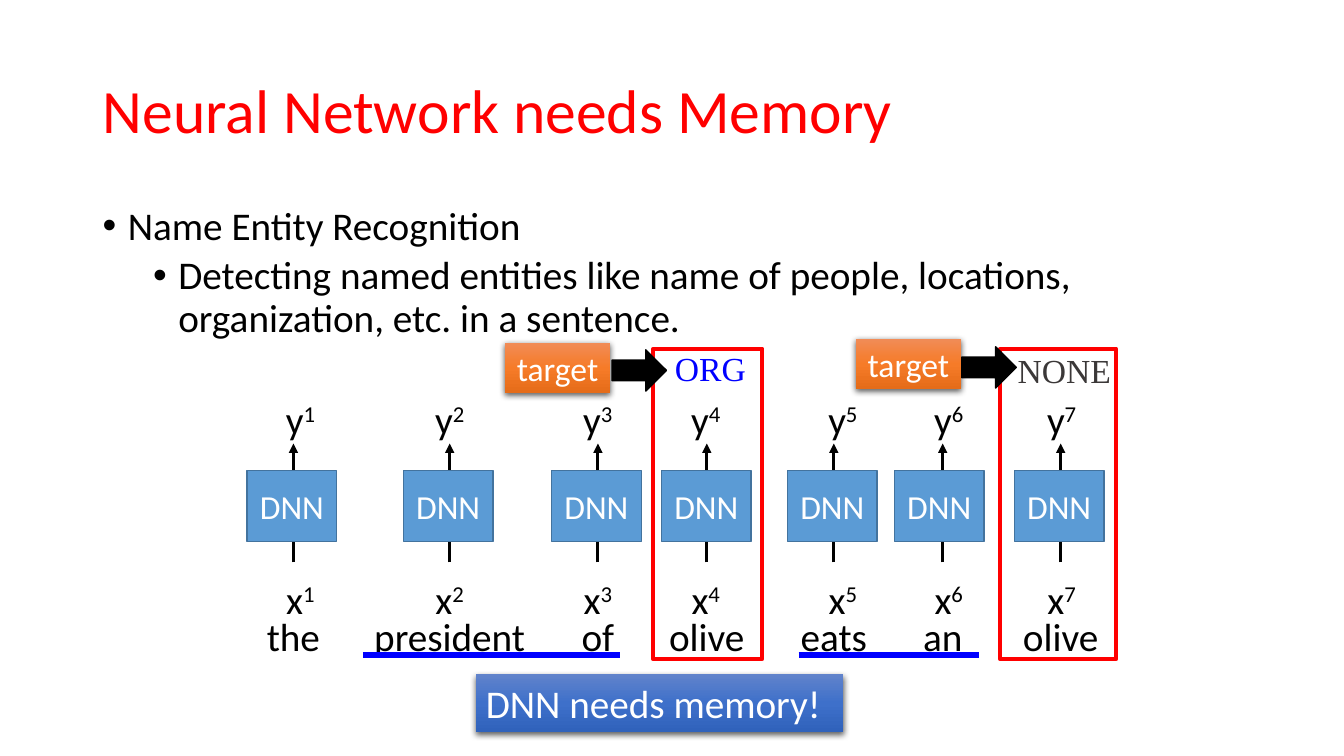
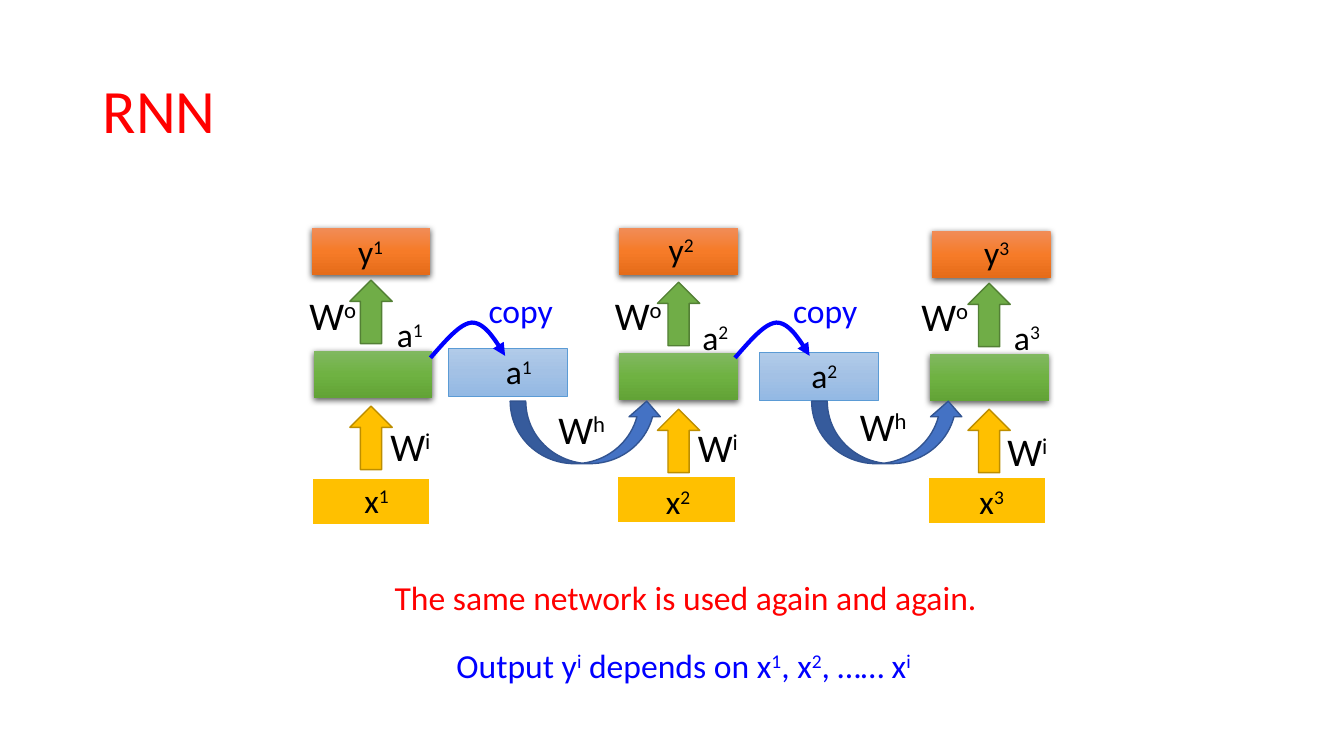
from copy import deepcopy
from dataclasses import dataclass
from typing import NamedTuple

from lxml.etree import SubElement
from pptx import Presentation
from pptx.dml.color import RGBColor
from pptx.enum.shapes import MSO_CONNECTOR, MSO_SHAPE as Preset
from pptx.enum.text import MSO_ANCHOR as Anchor, PP_ALIGN as Align
from pptx.oxml.ns import qn
from pptx.util import Inches, Pt


@dataclass(frozen=True)
class Theme:
    font: str = "Calibri"
    tag_font: str = "Times New Roman"
    title_size: int = 44
    large: int = 28
    medium: int = 24
    black: str = "000000"
    white: str = "FFFFFF"
    red: str = "FF0000"
    blue: str = "0000FF"
    gray: str = "3B3838"
    network: str = "5B9BD5"
    network_line: str = "43739E"
    gold: str = "FFC000"
    gold_line: str = "BD8E00"
    green: str = "70AD47"
    green_line: str = "538035"
    recurrent: str = "4472C4"
    recurrent_line: str = "325491"
    blue_gradient: tuple[str, ...] = ("6183CB", "3E70CA", "3062BB")
    orange_gradient: tuple[str, ...] = ("F18C57", "F67B28", "E56C19")
    green_gradient: tuple[str, ...] = ("81B861", "6FB242", "62A336")
    pale_gradient: tuple[str, ...] = ("B1CBE9", "A3C1E5", "93B9E4")


THEME = Theme()


class Point(NamedTuple):
    x: float
    y: float


class Box(NamedTuple):
    left: float
    top: float
    width: float
    height: float


class Token(NamedTuple):
    word: str
    center: float
    network_left: float
    label_left: float


class Target(NamedTuple):
    label: Box
    arrow: Box
    tag: Box
    tag_text: str
    tag_color: str
    frame: Box


@dataclass(frozen=True)
class Step:
    input: Point
    hidden: Point
    output: Point
    lower_arrow: Point
    upper_arrow: Point
    input_label: Point
    output_label: Point
    state_label: Point
    input_weight: Point
    output_weight: Point


@dataclass(frozen=True)
class Memory:
    box: Point
    label: Point
    arrow: Point
    weight: Point
    copy_label: Point
    copy_start: Point


TOKENS = (
    Token("the", 2.91, 2.45, 2.56),
    Token("president", 4.46, 4, 4.04),
    Token("of", 5.93, 5.47, 5.51),
    Token("olive", 7.01, 6.56, 6.58),
    Token("eats", 8.27, 7.81, 7.94),
    Token("an", 9.35, 8.87, 8.99),
    Token("olive", 10.52, 10.06, 10.11),
)
TARGETS = (
    Target(Box(5.01, 3.4, 1.04, 0.5), Box(6.07, 3.47, 0.54, 0.41),
           Box(6.59, 3.4, 0.91, 0.51), "ORG", THEME.blue, Box(6.48, 3.46, 1.08, 3.08)),
    Target(Box(8.49, 3.36, 1.04, 0.5), Box(9.54, 3.44, 0.54, 0.41),
           Box(9.99, 3.42, 1.13, 0.51), "NONE", THEME.gray, Box(9.92, 3.46, 1.15, 3.08)),
)
STEPS = (
    Step(Point(3.09, 4.74), Point(3.11, 3.48), Point(3.09, 2.26), Point(3.47, 4.03),
         Point(3.47, 2.78), Point(3.24, 4.71), Point(3.18, 2.24), Point(3.57, 3.07),
         Point(3.72, 4.14), Point(2.95, 2.84)),
    Step(Point(6.12, 4.72), Point(6.14, 3.5), Point(6.14, 2.26), Point(6.52, 4.06),
         Point(6.52, 2.8), Point(6.23, 4.72), Point(6.26, 2.22), Point(6.6, 3.09),
         Point(6.77, 4.15), Point(5.98, 2.84)),
    Step(Point(9.2, 4.73), Point(9.22, 3.51), Point(9.24, 2.29), Point(9.6, 4.06),
         Point(9.6, 2.81), Point(9.34, 4.72), Point(9.39, 2.25), Point(9.69, 3.09),
         Point(9.84, 4.19), Point(9.02, 2.85)),
)
MEMORIES = (
    Memory(Point(4.45, 3.46), Point(4.65, 3.43), Point(5.06, 3.98), Point(5.42, 3.97),
           Point(4.59, 2.83), Point(4.27, 3.55)),
    Memory(Point(7.53, 3.5), Point(7.68, 3.47), Point(8.05, 3.98), Point(8.41, 3.94),
           Point(7.61, 2.83), Point(7.29, 3.55)),
)
COPY_CURVES = (
    (Point(0, 0), Point(0.15, -0.17), Point(0.29, -0.34), Point(0.41, -0.35)),
    (Point(0.41, -0.35), Point(0.54, -0.35), Point(0.64, -0.18), Point(0.74, -0.02)),
)
CURVE_SEGMENTS = 12


def rgb(color: str) -> RGBColor:
    return RGBColor.from_string(color)


def emu(box: Box) -> list[int]:
    return [Inches(value) for value in box]


def style_font(font, size: int, color: str, name: str = THEME.font) -> None:
    font.name, font.size, font.color.rgb = name, Pt(size), rgb(color)


def write(shape, markup: str, size: int, color: str, align=Align.CENTER,
          anchor=Anchor.TOP, font: str = THEME.font) -> None:
    frame = shape.text_frame
    frame.vertical_anchor = anchor
    paragraph = frame.paragraphs[0]
    paragraph.alignment = align
    for index, part in enumerate(markup.split("^")):
        run = paragraph.add_run()
        run.text = part
        style_font(run.font, size, color, font)
        if index % 2:
            run._r.get_or_add_rPr().set("baseline", "30000")


def add_label(slide, box: Box, markup: str, size: int = THEME.medium,
              color: str = THEME.black, font: str = THEME.font, wrap: bool = True) -> None:
    label = slide.shapes.add_textbox(*emu(box))
    label.text_frame.word_wrap = wrap
    write(label, markup, size, color, font=font)


def set_gradient(shape, colors: tuple[str, ...]) -> None:
    shape.fill.gradient()
    shape.fill.gradient_angle = 270
    stop_list = shape._element.spPr.find(".//" + qn("a:gsLst"))
    stop_list.insert(1, deepcopy(stop_list[0]))
    for index, (stop, color) in enumerate(zip(shape.fill.gradient_stops, colors)):
        stop.position = index / (len(colors) - 1)
        stop.color.rgb = rgb(color)


def add_shadow(shape) -> None:
    effects = shape._element.spPr.find(qn("a:effectLst"))
    shadow = SubElement(effects, qn("a:outerShdw"), blurRad=str(Pt(4.5)),
                        dist=str(Pt(1.5)), dir="5400000", algn="ctr", rotWithShape="0")
    color = SubElement(shadow, qn("a:srgbClr"), val=THEME.black)
    SubElement(color, qn("a:alpha"), val="63000")


def add_block(slide, box: Box, fill: str | tuple[str, ...] | None = None,
              line: str | None = None, width: float = 1, preset=Preset.RECTANGLE,
              shadow: bool = False):
    shape = slide.shapes.add_shape(preset, *emu(box))
    shape.shadow.inherit = False
    if fill is None:
        shape.fill.background()
    elif isinstance(fill, tuple):
        set_gradient(shape, fill)
    else:
        shape.fill.solid()
        shape.fill.fore_color.rgb = rgb(fill)
    if line is None:
        shape.line.fill.background()
    else:
        shape.line.color.rgb = rgb(line)
        shape.line.width = Pt(width)
    if shadow:
        add_shadow(shape)
    return shape


def style_line(line, color: str, width: float, arrow: bool) -> None:
    line.color.rgb = rgb(color)
    line.width = Pt(width)
    if arrow:
        SubElement(line._get_or_add_ln(), qn("a:tailEnd"), type="triangle")


def add_line(slide, start: Point, end: Point, color: str, width: float,
             arrow: bool = False) -> None:
    connector = slide.shapes.add_connector(
        MSO_CONNECTOR.STRAIGHT, *[Inches(value) for value in (*start, *end)])
    style_line(connector.line, color, width, arrow)
    SubElement(connector._element.spPr, qn("a:effectLst"))


def bezier(controls: tuple[Point, ...], t: float) -> Point:
    weights = ((1 - t) ** 3, 3 * t * (1 - t) ** 2, 3 * t * t * (1 - t), t ** 3)
    return Point(sum(w * p.x for w, p in zip(weights, controls)),
                 sum(w * p.y for w, p in zip(weights, controls)))


def add_copy_arrow(slide, start: Point) -> None:
    offsets = [bezier(curve, index / CURVE_SEGMENTS)
               for curve in COPY_CURVES for index in range(1, CURVE_SEGMENTS + 1)]
    builder = slide.shapes.build_freeform(Inches(start.x), Inches(start.y))
    builder.add_line_segments(
        [(Inches(start.x + p.x), Inches(start.y + p.y)) for p in offsets], close=False)
    shape = builder.convert_to_shape()
    shape.shadow.inherit = False
    shape.fill.background()
    style_line(shape.line, THEME.blue, 3, True)


def add_titled_slide(presentation, text: str):
    slide = presentation.slides.add_slide(presentation.slide_layouts[5])
    title = slide.shapes.title
    title.left, title.top, title.width, title.height = emu(Box(0.92, 0.4, 11.5, 1.45))
    title.text_frame.text = text
    title.text_frame.vertical_anchor = Anchor.MIDDLE
    paragraph = title.text_frame.paragraphs[0]
    paragraph.alignment = Align.LEFT
    paragraph.line_spacing = 0.9
    style_font(paragraph.runs[0].font, THEME.title_size, THEME.red)
    return slide


def add_bullets(slide, box: Box, lines: tuple[str, ...]) -> None:
    frame = slide.shapes.add_textbox(*emu(box)).text_frame
    frame.word_wrap = True
    frame.text = "\n".join(lines)
    for level, paragraph in enumerate(frame.paragraphs):
        properties = paragraph._p.get_or_add_pPr()
        properties.set("marL", str(Inches(0.25 + 0.5 * level)))
        properties.set("indent", str(Inches(-0.25)))
        SubElement(properties, qn("a:buFont"), typeface="Arial")
        SubElement(properties, qn("a:buChar"), char="•")
        paragraph.level = level
        paragraph.line_spacing = 0.9
        if level:
            paragraph.space_before = Pt(5)
        style_font(paragraph.runs[0].font, THEME.large, THEME.black)


def build_memory_slide(presentation) -> None:
    slide = add_titled_slide(presentation, "Neural Network needs Memory")
    add_bullets(slide, Box(0.92, 2, 11.5, 1.45), (
        "Name Entity Recognition",
        "Detecting named entities like name of people, locations, organization, etc. in a sentence."))
    for number, token in enumerate(TOKENS, 1):
        add_line(slide, Point(token.center, 5.58), Point(token.center, 4.4),
                 THEME.black, 2.25, True)
        for letter, top in (("x", 5.66), ("y", 3.87)):
            add_label(slide, Box(token.label_left, top, 0.84, 0.57),
                      f"{letter}^{number}", THEME.large)
        add_label(slide, Box(token.center - 0.9, 6.03, 1.8, 0.57), token.word, THEME.large)
        network = add_block(slide, Box(token.network_left, 4.67, 0.89, 0.7),
                            THEME.network, THEME.network_line)
        write(network, "DNN", THEME.medium, THEME.white, anchor=Anchor.MIDDLE)
    for left, right in ((3.6, 6.15), (7.92, 9.71)):
        add_line(slide, Point(left, 6.5), Point(right, 6.5), THEME.blue, 4.5)
    for target in TARGETS:
        add_label(slide, target.tag, target.tag_text, THEME.medium, target.tag_color,
                  THEME.tag_font, wrap=False)
        add_block(slide, target.frame, line=THEME.red, width=3)
        label = add_block(slide, target.label, THEME.orange_gradient, shadow=True)
        write(label, "target", THEME.medium, THEME.white)
        add_block(slide, target.arrow, THEME.black, THEME.black, preset=Preset.RIGHT_ARROW)
    banner = add_block(slide, Box(4.72, 6.69, 3.64, 0.57), THEME.blue_gradient, shadow=True)
    write(banner, "DNN needs memory!", THEME.large, THEME.white, Align.LEFT)


def build_rnn_slide(presentation) -> None:
    slide = add_titled_slide(presentation, "RNN")
    for number, step in enumerate(STEPS, 1):
        add_block(slide, Box(*step.input, 1.18, 0.47), THEME.gold, THEME.white, 1.5)
        add_block(slide, Box(*step.hidden, 1.18, 0.47), THEME.green_gradient, shadow=True)
        add_block(slide, Box(*step.output, 1.18, 0.47), THEME.orange_gradient, shadow=True)
        for point, fill, line in ((step.lower_arrow, THEME.gold, THEME.gold_line),
                                  (step.upper_arrow, THEME.green, THEME.green_line)):
            add_block(slide, Box(*point, 0.42, 0.63), fill, line, preset=Preset.UP_ARROW)
        for point, letter in ((step.input_label, "x"), (step.output_label, "y"),
                              (step.state_label, "a")):
            add_label(slide, Box(*point, 0.99, 0.5), f"{letter}^{number}")
        for point, power in ((step.input_weight, "i"), (step.output_weight, "o")):
            add_label(slide, Box(*point, 0.7, 0.57), f"W^{power}", THEME.large)
    for number, memory in enumerate(MEMORIES, 1):
        add_block(slide, Box(*memory.box, 1.18, 0.47), THEME.pale_gradient, THEME.network, 0.5)
        add_label(slide, Box(*memory.label, 0.99, 0.5), f"a^{number}")
        add_block(slide, Box(*memory.arrow, 1.51, 0.62), THEME.recurrent,
                  THEME.recurrent_line, preset=Preset.CURVED_UP_ARROW)
        add_label(slide, Box(*memory.weight, 0.7, 0.57), "W^h", THEME.large)
        add_label(slide, Box(*memory.copy_label, 1.15, 0.5), "copy", color=THEME.blue)
        add_copy_arrow(slide, memory.copy_start)
    add_label(slide, Box(3.81, 5.67, 5.98, 0.5),
              "The same network is used again and again.", color=THEME.red)
    add_label(slide, Box(3.79, 6.35, 5.98, 0.5),
              "Output y^i^ depends on x^1^, x^2^, …… x^i", color=THEME.blue)


def main() -> None:
    presentation = Presentation()
    presentation.slide_width, presentation.slide_height = Inches(13.33), Inches(7.5)
    build_memory_slide(presentation)
    build_rnn_slide(presentation)
    presentation.save("out.pptx")


if __name__ == "__main__":
    main()
